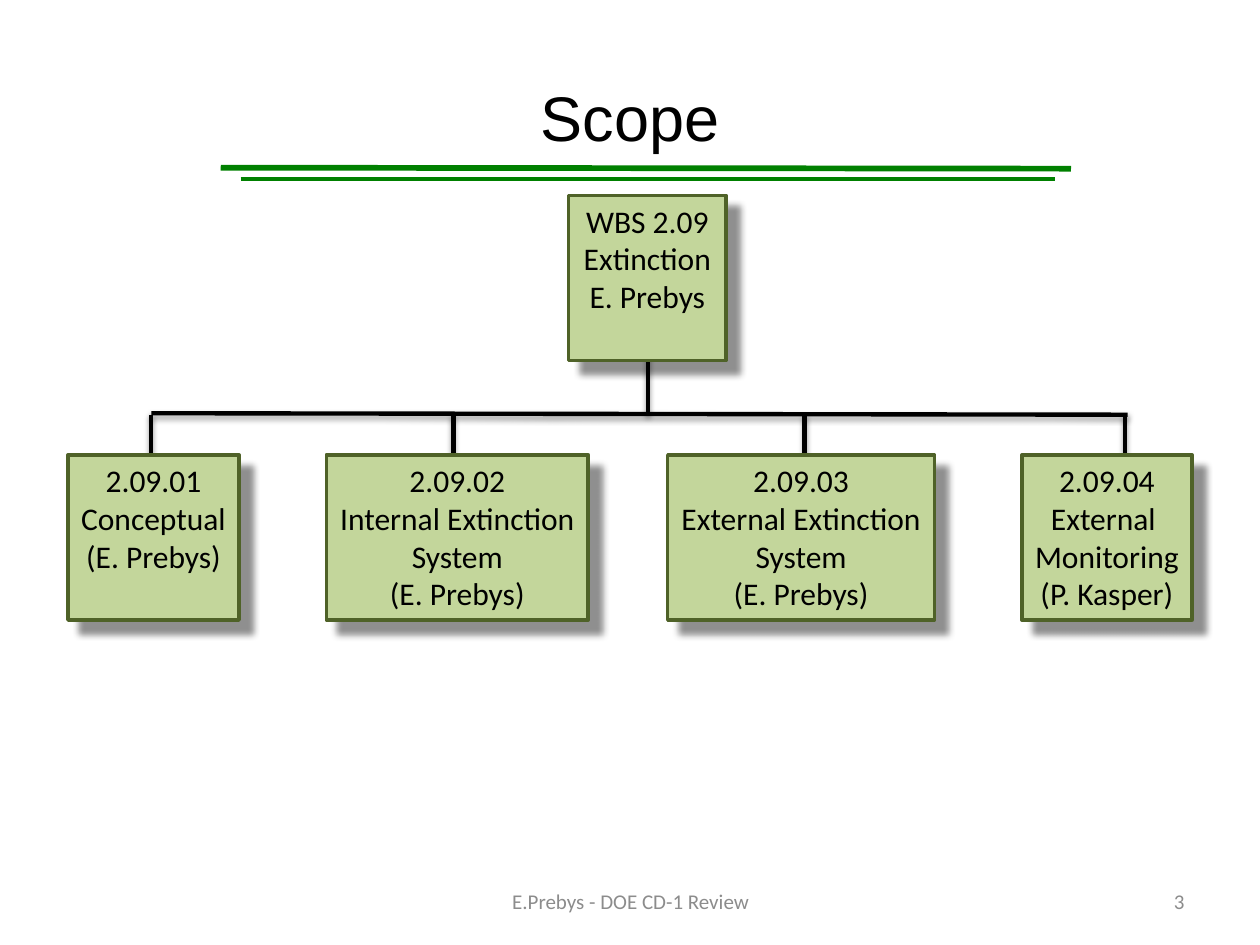
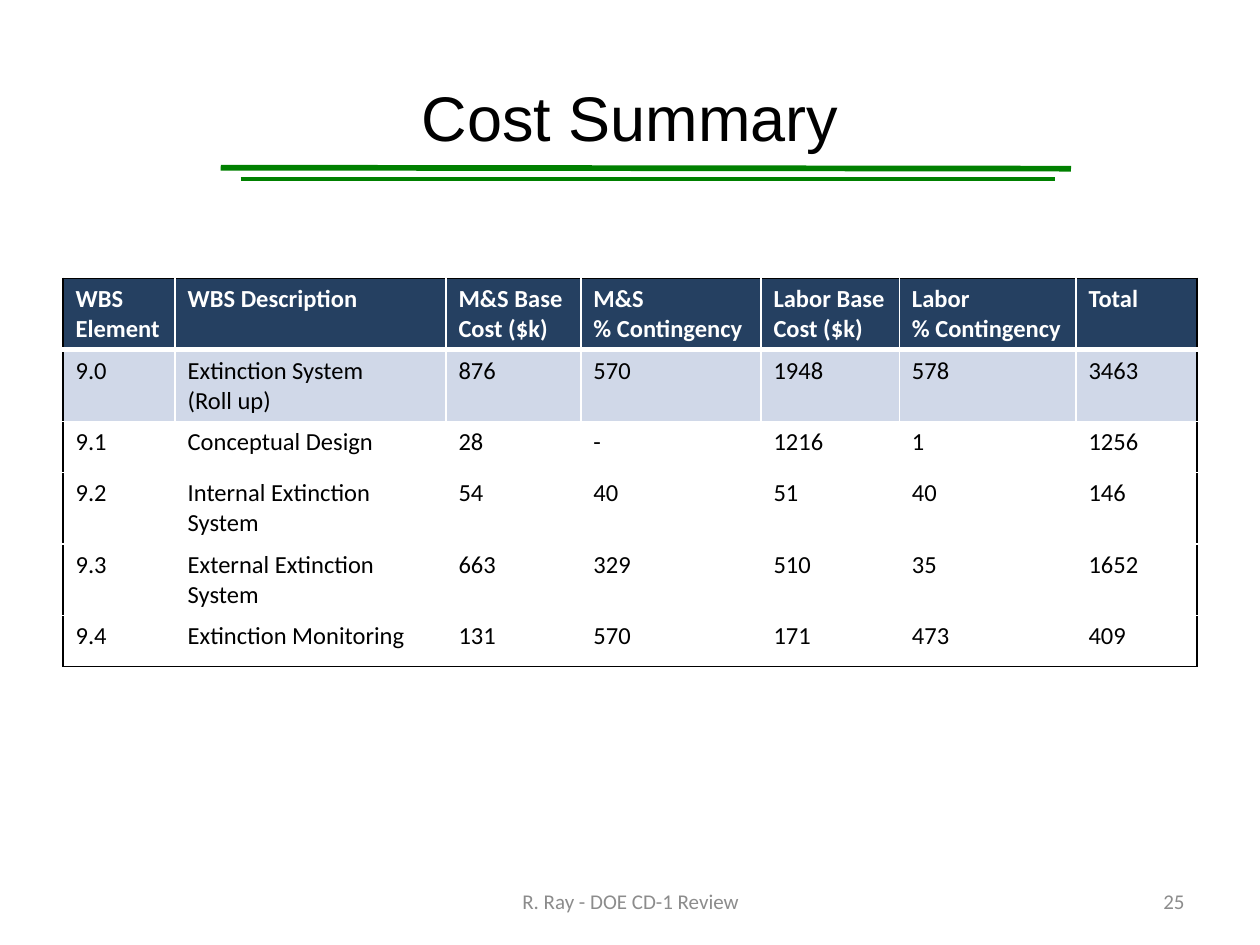
import pptx
import pptx.dml.color
import pptx.enum.shapes
import pptx.enum.text
import pptx.oxml.ns
import pptx.util
from lxml import etree

Cm = pptx.util.Cm
Pt = pptx.util.Pt
qn = pptx.oxml.ns.qn
ALIGN = pptx.enum.text.PP_ALIGN
ANCHOR = pptx.enum.text.MSO_ANCHOR

BLACK, WHITE, GREY = "000000", "FFFFFF", "8C8C8C"
RULE_GREEN, BOX_FILL, BOX_EDGE = "008000", "C3D69B", "4F6228"
HEAD_FILL, ROLLUP_FILL = "254061", "D0D8E8"


def paint(fill, color):
    fill.solid()
    fill.fore_color.rgb = pptx.dml.color.RGBColor.from_string(color)


def write(tf, text, size=18, font="Calibri", color=BLACK, bold=False,
          align=ALIGN.LEFT, anchor=ANCHOR.TOP, wrap=True):
    tf.word_wrap = wrap
    tf.vertical_anchor = anchor
    for i, line in enumerate(text.split("\n")):
        p = tf.add_paragraph() if i else tf.paragraphs[0]
        p.text = line
        p.alignment = align
        for r in p.runs:
            r.font.size = Pt(size)
            r.font.name = font
            r.font.bold = bold
            paint(r.font.fill, color)


prs = pptx.Presentation()
prs.slide_width, prs.slide_height = Cm(25.4), Cm(19.05)

rules = [
    (4.45, 3.38, 21.59, 3.4, RULE_GREEN, 3.25),
    (4.85, 3.61, 21.26, 3.61, RULE_GREEN, 2),
]
bus_y = 8.36
links = [(x, bus_y, x, 10.39, BLACK, 2.5) for x in (3.05, 9.14, 16.22, 22.68)]
links += [
    (13.06, 6.32, 13.06, bus_y, BLACK, 2.5),
    (22.73, bus_y, 3.05, 8.33, BLACK, 2.5),
]
pages = [
    ("Scope", "E.Prebys - DOE CD-1 Review", "3", links),
    ("Cost Summary", "R. Ray - DOE CD-1 Review", "25", []),
]
shadows = []
slides = []

for title, footer, number, page_links in pages:
    s = prs.slides.add_slide(prs.slide_layouts[5])
    slides.append(s)
    sp = s.shapes.title
    sp.left, sp.top, sp.width, sp.height = Cm(1.27), Cm(0.76), Cm(22.86), Cm(3.18)
    write(sp.text_frame, title, size=36, font="Arial",
          align=ALIGN.CENTER, anchor=ANCHOR.MIDDLE)

    for left, width, text, align in (
        (8.69, 8.05, footer, ALIGN.CENTER),
        (18.21, 5.92, number, ALIGN.RIGHT),
    ):
        sp = s.shapes.add_textbox(Cm(left), Cm(17.65), Cm(width), Cm(1.02))
        write(sp.text_frame, text, size=12, color=GREY,
              align=align, anchor=ANCHOR.MIDDLE)

    for x1, y1, x2, y2, color, weight in rules + page_links:
        sp = s.shapes.add_connector(pptx.enum.shapes.MSO_CONNECTOR.STRAIGHT,
                                    Cm(x1), Cm(y1), Cm(x2), Cm(y2))
        paint(sp.line.fill, color)
        sp.line.width = Pt(weight)
        if color == BLACK:
            shadows.append((sp, 3.1, 1.6, 90, 38))
        else:
            etree.SubElement(sp.element.spPr, qn("a:effectLst"))

scope, cost = slides

row_y = 9.17
boxes = [
    (11.46, 3.94, 3.18, "WBS 2.09\nExtinction\nE. Prebys"),
    (1.37, row_y, 3.45, "2.09.01\nConceptual\v(E. Prebys)"),
    (6.58, row_y, 5.28, "2.09.02\nInternal Extinction\vSystem\n(E. Prebys)"),
    (13.46, row_y, 5.38, "2.09.03\nExternal Extinction\vSystem\n(E. Prebys)"),
    (20.6, row_y, 3.43, "2.09.04\nExternal \vMonitoring\n(P. Kasper)"),
]
for left, top, width, text in boxes:
    sp = scope.shapes.add_shape(pptx.enum.shapes.MSO_SHAPE.RECTANGLE,
                                Cm(left), Cm(top), Cm(width), Cm(3.33))
    paint(sp.fill, BOX_FILL)
    paint(sp.line.fill, BOX_EDGE)
    sp.line.width = Pt(2)
    write(sp.text_frame, text, align=ALIGN.CENTER, wrap=False)
    shadows.append((sp, 4, 10, 45, 43))

for sp, blur, dist, angle, alpha in shadows:
    effects = etree.SubElement(sp.element.spPr, qn("a:effectLst"))
    shadow = etree.SubElement(
        effects, qn("a:outerShdw"), blurRad=str(Pt(blur)), dist=str(Pt(dist)),
        dir=str(angle * 60000), algn="tl", rotWithShape="0")
    clr = etree.SubElement(shadow, qn("a:srgbClr"), val=BLACK)
    etree.SubElement(clr, qn("a:alpha"), val=str(alpha * 1000))

rows = [
    ("WBS Element", "WBS Description", "M&S Base Cost ($k)", "M&S\n% Contingency",
     "Labor Base Cost ($k)", "Labor\n% Contingency", "Total"),
    ("9.0", "Extinction System \v(Roll up)", "876", "570", "1948", "578", "3463"),
    ("9.1", "Conceptual Design", "28", "-", "1216", "1", "1256"),
    ("9.2", "Internal Extinction System", "54", "40", "51", "40", "146"),
    ("9.3", "External Extinction System", "663", "329", "510", "35", "1652"),
    ("9.4", "Extinction Monitoring", "131", "570", "171", "473", "409"),
]
widths = [2.26, 5.46, 2.72, 3.63, 2.79, 3.56, 2.44]
row_height = 1.03
last_row, last_col = len(rows) - 1, len(widths) - 1
table = cost.shapes.add_table(len(rows), len(widths), Cm(1.27), Cm(5.61),
                              Cm(sum(widths)), Cm(row_height * len(rows))).table
table.horz_banding = False
for col, width in zip(table.columns, widths):
    col.width = Cm(width)

for i, values in enumerate(rows):
    table.rows[i].height = Cm(row_height)
    head = i == 0
    for j, text in enumerate(values):
        cell = table.cell(i, j)
        write(cell.text_frame, text, size=14, color=WHITE if head else BLACK, bold=head)
        tcPr = cell._tc.get_or_add_tcPr()
        for side, outer in (("L", j == 0), ("R", j == last_col),
                            ("T", i == 0), ("B", i == last_row)):
            weight = 3 if head and side == "B" else 1
            ln = etree.SubElement(tcPr, qn("a:ln" + side), w=str(Pt(weight)))
            fill = etree.SubElement(ln, qn("a:solidFill"))
            etree.SubElement(fill, qn("a:srgbClr"), val=BLACK if outer else WHITE)
        if i < 2:
            paint(cell.fill, HEAD_FILL if head else ROLLUP_FILL)
        else:
            cell.fill.background()

prs.save("out.pptx")
